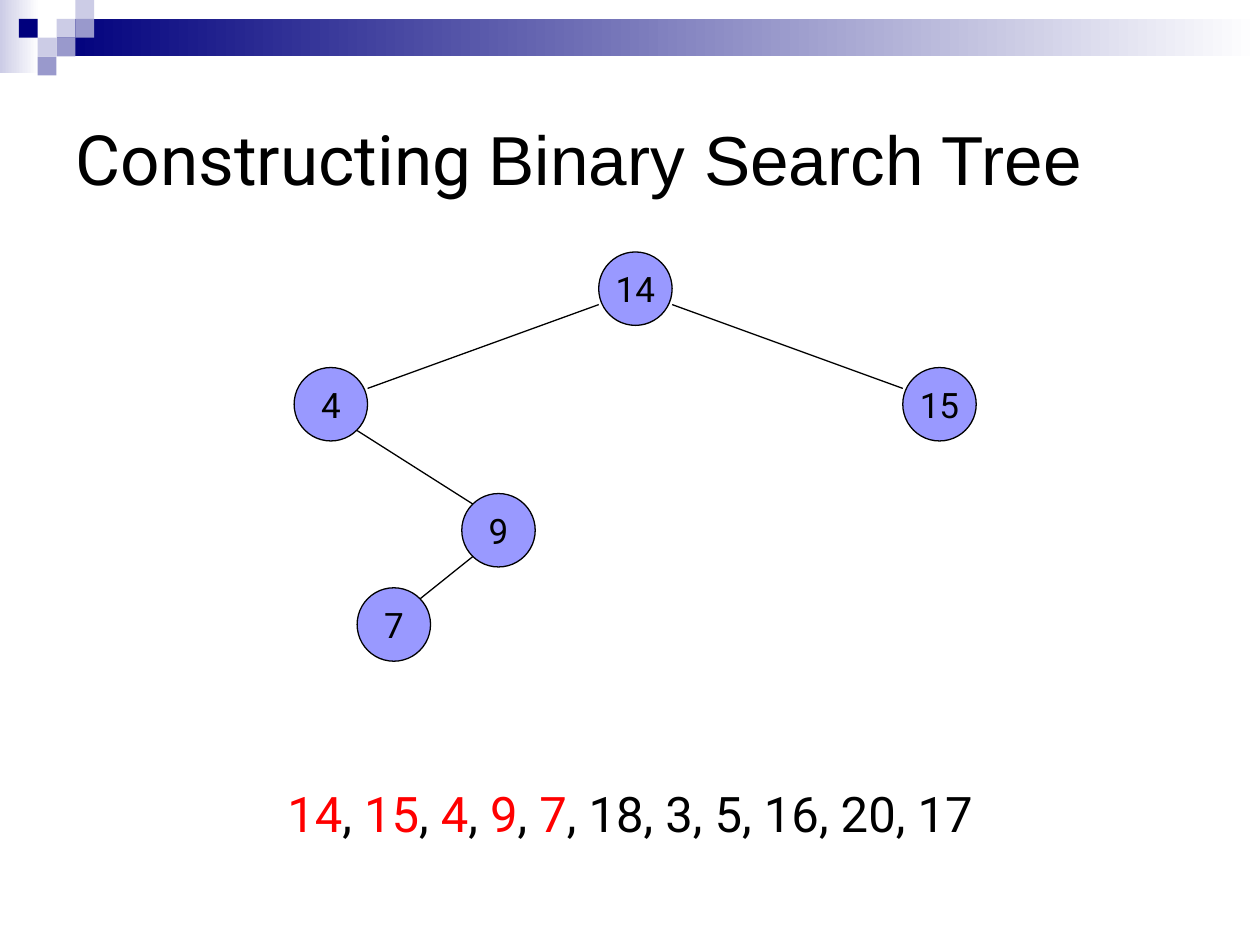
from pptx import Presentation
from pptx.dml.color import RGBColor
from pptx.enum import shapes, text
from pptx.oxml import ns, xmlchemy
from pptx.util import Cm, Pt

BLACK, WHITE = RGBColor(0, 0, 0), RGBColor(255, 255, 255)
RED = RGBColor(255, 0, 0)
NAVY = RGBColor(0x00, 0x00, 0x7D)
PALE = RGBColor(0xCC, 0xCC, 0xE6)
LILAC = RGBColor(0x99, 0x99, 0xCC)
NODE_BLUE = RGBColor(0x99, 0x99, 0xFF)

TITLE = [("Constructing ", "Roboto"), ("Binary Search Tree", "Arial")]
INSERTED = ["14", "15", "4", "9", "7"]
WAITING = ["18", "3", "5", "16", "20", "17"]

# All lengths in centimetres
NODES = {  # left, top
    "14": (12.07, 5.08),
    "15": (18.2, 7.41),
    "4": (5.93, 7.41),
    "9": (9.31, 9.95),
    "7": (7.2, 11.85),
}
EDGES = [  # from x, y to x, y
    (13.55, 6.14, 18.2, 7.83),
    (12.07, 6.14, 7.41, 7.83),
    (7.2, 8.68, 9.53, 10.16),
    (9.53, 11.22, 8.47, 12.07),
]
DIAMETER = 1.48
LABEL_W, LABEL_H = 1.9, 1.1

BARS = [((0, 0, 0.79, 1.48), PALE), ((1.14, 0.38, 24.26, 0.76), NAVY)]
SQUARE = 0.38
SQUARES = [  # column, row, colour
    (3, 1, PALE), (4, 0, PALE), (4, 1, LILAC), (2, 2, PALE),
    (1, 1, NAVY), (3, 2, LILAC), (2, 3, LILAC),
]


def write(paragraph, words, size, font="Roboto", color=BLACK):
    run = paragraph.add_run()
    run.text = words
    run.font.size, run.font.name = Pt(size), font
    run.font.color.rgb = color


def add_filled(parent, kind, box, color, fade=False, outlined=False):
    """Add a preset shape; fade runs its colour to white from left to right."""
    shape = parent.shapes.add_shape(kind, *map(Cm, box))
    shape.shadow.inherit = False
    if fade:
        shape.fill.gradient()
        shape.fill.gradient_angle = 0
        for stop, shade in zip(shape.fill.gradient_stops, (color, WHITE)):
            stop.color.rgb = shade
    else:
        shape.fill.solid()
        shape.fill.fore_color.rgb = color
    if outlined:
        shape.line.color.rgb, shape.line.width = BLACK, Pt(0.75)
    else:
        shape.line.fill.background()


def add_centred_box(parent, box):
    """Add a wrapping text box and return its centred paragraph."""
    frame = parent.shapes.add_textbox(*map(Cm, box)).text_frame
    frame.word_wrap = True
    frame.paragraphs[0].alignment = text.PP_ALIGN.CENTER
    return frame.paragraphs[0]


def add_edge(parent, ends):
    edge = parent.shapes.add_connector(shapes.MSO_CONNECTOR.STRAIGHT, *map(Cm, ends))
    edge.line.color.rgb, edge.line.width = BLACK, Pt(0.75)
    edge._element.spPr.append(xmlchemy.OxmlElement("a:effectLst"))


def add_node(parent, key, left, top):
    add_filled(parent, shapes.MSO_SHAPE.OVAL, (left, top, DIAMETER, DIAMETER),
               NODE_BLUE, outlined=True)
    label = (left + (DIAMETER - LABEL_W) / 2, top + (DIAMETER - LABEL_H) / 2,
             LABEL_W, LABEL_H)
    write(add_centred_box(parent, label), key, 20)


def main():
    deck = Presentation()
    deck.slide_width, deck.slide_height = Cm(25.4), Cm(19.05)
    slide = deck.slides.add_slide(deck.slide_layouts[5])

    header = slide.shapes.add_group_shape()
    for box, color in BARS:
        add_filled(header, shapes.MSO_SHAPE.RECTANGLE, box, color, fade=True)
    for column, row, color in SQUARES:
        box = (column * SQUARE, row * SQUARE, SQUARE, SQUARE)
        add_filled(header, shapes.MSO_SHAPE.RECTANGLE, box, color)

    title = slide.shapes.title
    title.left, title.top, title.width, title.height = map(Cm, (1.27, 1.27, 22.86, 3.81))
    title.text_frame.auto_size = text.MSO_AUTO_SIZE.NONE
    title.text_frame.vertical_anchor = text.MSO_ANCHOR.MIDDLE
    heading = title.text_frame.paragraphs[0]
    heading.alignment = text.PP_ALIGN.LEFT
    for words, font in TITLE:
        write(heading, words, 39.6, font=font)

    sequence = add_centred_box(slide, (1.27, 15.67, 22.86, 1.9))
    for key in INSERTED:
        write(sequence, key, 28, color=RED)
        write(sequence, ", ", 28)
    write(sequence, ", ".join(WAITING), 28)

    tree = slide.shapes.add_group_shape()
    for ends in EDGES:
        add_edge(tree, ends)
    for key, (left, top) in NODES.items():
        add_node(tree, key, left, top)

    deck.save("out.pptx")


if __name__ == "__main__":
    main()
